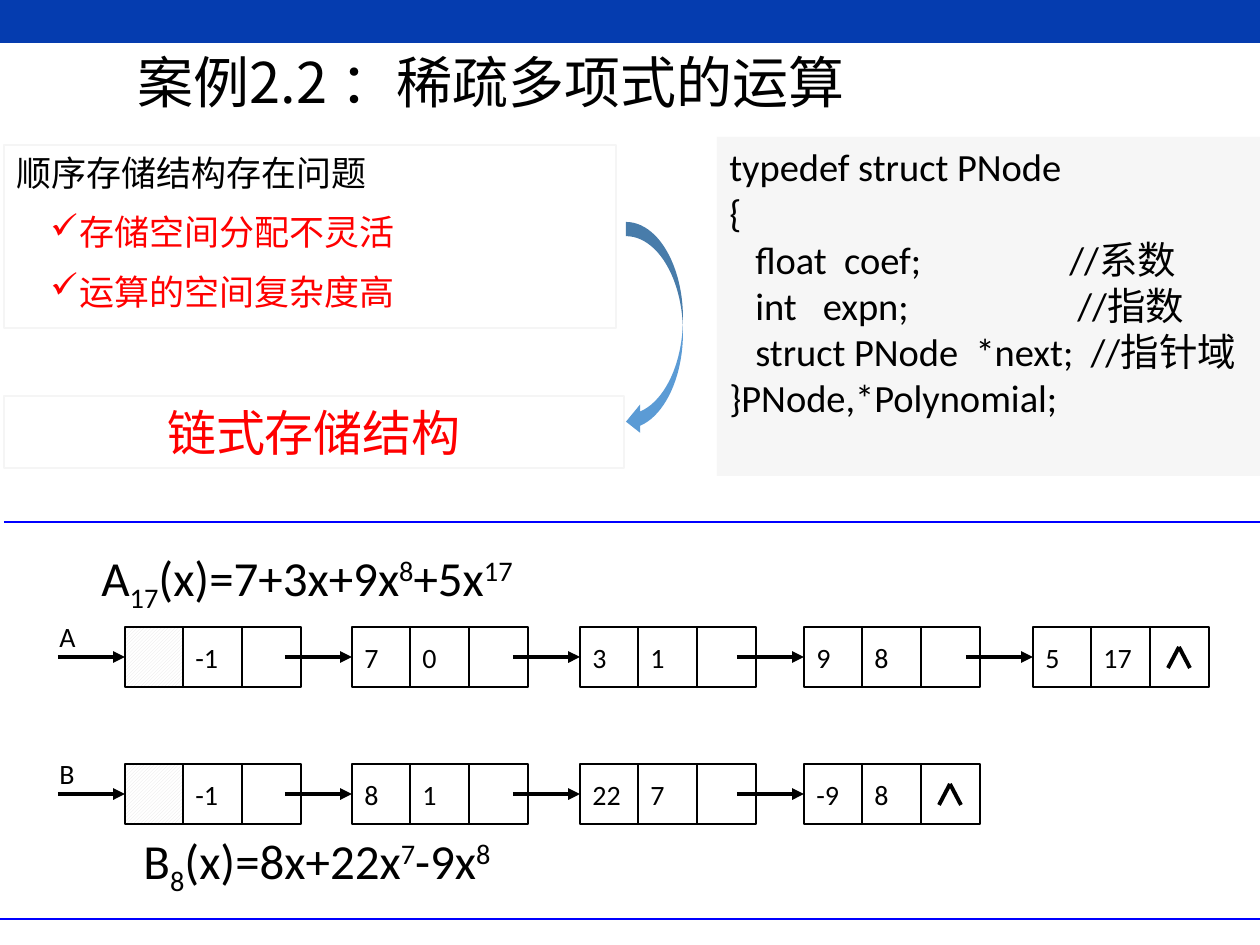
import lxml.etree
import pptx
import pptx.dml.color
import pptx.enum.dml
import pptx.enum.shapes
import pptx.enum.text
import pptx.oxml.ns
import pptx.util

RGBColor = pptx.dml.color.RGBColor
SHAPE = pptx.enum.shapes.MSO_SHAPE
ALIGN = pptx.enum.text.PP_ALIGN
ANCHOR = pptx.enum.text.MSO_ANCHOR

BLACK = RGBColor(0x00, 0x00, 0x00)
WHITE = RGBColor(0xFF, 0xFF, 0xFF)
RED = RGBColor(0xFF, 0x00, 0x00)
RULE_BLUE = RGBColor(0x00, 0x00, 0xFF)
BAND_BLUE = RGBColor(0x05, 0x3C, 0xAF)
ARROW_BLUE = RGBColor(0x5B, 0x9B, 0xD5)
PALE_GRAY = RGBColor(0xF5, 0xF5, 0xF5)
CODE_GRAY = RGBColor(0xF6, 0xF6, 0xF6)
HATCH_GRAY = RGBColor(0xE7, 0xE6, 0xE6)

BODY_FONT = "Calibri"
TITLE_FONT = "Noto Sans CJK SC"
PX_PER_INCH = 126
CELL_WIDTHS = (58, 59, 59)
CELL_HEIGHT = 60
NODE_LEFTS = (125, 352, 580, 804, 1033)
POINTER_LENGTH = 67


def px(length):
    return round(length * 914400 / PX_PER_INCH)


def add_xml(parent, tag, **attributes):
    return lxml.etree.SubElement(parent, pptx.oxml.ns.qn(tag), attributes)


def format_runs(paragraph, size, color=BLACK, font_name=BODY_FONT):
    for run in paragraph.runs:
        run.font.size = pptx.util.Pt(size)
        run.font.color.rgb = color
        run.font.name = font_name
        add_xml(run.font._element, "a:ea", typeface=font_name)


def add_box(slide, box, preset=SHAPE.RECTANGLE, fill=None, line=None, width=0.75):
    shape = slide.shapes.add_shape(preset, *map(px, box))
    shape.shadow.inherit = False
    if fill is None:
        shape.fill.background()
    else:
        shape.fill.solid()
        shape.fill.fore_color.rgb = fill
    if line is None:
        shape.line.fill.background()
    else:
        shape.line.color.rgb = line
        shape.line.width = pptx.util.Pt(width)
    return shape


def write_lines(shape, lines, size, align=ALIGN.LEFT, anchor=ANCHOR.TOP, wrap=True):
    text_frame = shape.text_frame
    text_frame.word_wrap = wrap
    text_frame.vertical_anchor = anchor
    text_frame.text = "\n".join(lines)
    for paragraph in text_frame.paragraphs:
        paragraph.alignment = align
        format_runs(paragraph, size)
    return text_frame.paragraphs


def add_line(slide, start, end, color=BLACK, width=2.25, arrow=False):
    connector = slide.shapes.add_connector(
        pptx.enum.shapes.MSO_CONNECTOR.STRAIGHT, *map(px, start + end))
    connector.line.color.rgb = color
    connector.line.width = pptx.util.Pt(width)
    if arrow:
        add_xml(connector.line._get_or_add_ln(), "a:tailEnd", type="triangle")
    add_xml(connector._element.spPr, "a:effectLst")


def place_title(slide, box, text):
    title = slide.shapes.title
    title.left, title.top, title.width, title.height = map(px, box)
    paragraphs = write_lines(title, [text], 32, anchor=ANCHOR.MIDDLE)
    title.text_frame.auto_size = pptx.enum.text.MSO_AUTO_SIZE.NONE
    format_runs(paragraphs[0], 32, font_name=TITLE_FONT)


def add_problems(slide, box, heading, problems):
    shape = add_box(slide, box, line=PALE_GRAY)
    paragraphs = write_lines(shape, [heading] + problems, 20)
    for paragraph in paragraphs[1:]:
        paragraph.level = 1
        paragraph.space_before = pptx.util.Pt(10)
        properties = paragraph._p.get_or_add_pPr()
        properties.set("marL", str(px(63)))
        properties.set("indent", str(px(-29)))
        add_xml(properties, "a:buChar", char="✓")
        format_runs(paragraph, 20, RED)


def add_solution(slide, box, text):
    shape = add_box(slide, box, fill=WHITE, line=PALE_GRAY)
    paragraphs = write_lines(shape, [text], 28, ALIGN.CENTER)
    format_runs(paragraphs[0], 28, RED)


def add_code(slide, box, lines, comment_stops):
    shape = add_box(slide, box, fill=CODE_GRAY)
    shape.text_frame.margin_right = 0
    paragraphs = write_lines(shape, lines, 22)
    for index, position in comment_stops.items():
        tabs = add_xml(paragraphs[index]._p.get_or_add_pPr(), "a:tabLst")
        add_xml(tabs, "a:tab", pos=str(px(position)), algn="l")


def add_formula(slide, box, parts):
    shape = slide.shapes.add_textbox(*map(px, box))
    shape.text_frame.word_wrap = True
    paragraph = shape.text_frame.paragraphs[0]
    for text, baseline in parts:
        run = paragraph.add_run()
        run.text = text
        if baseline:
            run.font._element.set("baseline", str(baseline * 1000))
    format_runs(paragraph, 28)


def add_node(slide, left, top, values, is_head, is_last):
    for index, (value, width) in enumerate(zip(values + ("",), CELL_WIDTHS)):
        cell_left = left + sum(CELL_WIDTHS[:index])
        cell = add_box(slide, (cell_left, top, width, CELL_HEIGHT), line=BLACK, width=1.5)
        if value:
            write_lines(cell, [value], 16, anchor=ANCHOR.MIDDLE, wrap=False)
        elif is_head and index == 0:
            cell.fill.patterned()
            cell.fill.pattern = pptx.enum.dml.MSO_PATTERN.DARK_UPWARD_DIAGONAL
            cell.fill.fore_color.rgb = HATCH_GRAY
            cell.fill.back_color.rgb = WHITE
    if is_last:
        apex = (left + sum(CELL_WIDTHS[:2]) + 29, top + 20)
        for offset in (-11, 11):
            add_line(slide, apex, (apex[0] + offset, apex[1] + 21))


def add_linked_list(slide, top, name, nodes):
    label = slide.shapes.add_textbox(px(47), px(top - 14), px(45), px(47))
    write_lines(label, [name], 16, wrap=False)
    for index, (left, values) in enumerate(zip(NODE_LEFTS, nodes)):
        add_node(slide, left, top, values, index == 0, index == len(nodes) - 1)
    middle = top + CELL_HEIGHT // 2
    for left in NODE_LEFTS[:len(nodes)]:
        add_line(slide, (left - POINTER_LENGTH, middle), (left, middle), arrow=True)


def main():
    presentation = pptx.Presentation()
    presentation.slide_width = px(1260)
    presentation.slide_height = px(945)
    slide = presentation.slides.add_slide(presentation.slide_layouts[5])

    add_box(slide, (0, 0, 1260, 43), fill=BAND_BLUE)
    place_title(slide, (125, 39, 882, 84), "案例2.2 ：稀疏多项式的运算")
    add_problems(slide, (4, 145, 612, 183), "顺序存储结构存在问题",
                 ["存储空间分配不灵活", "运算的空间复杂度高"])
    add_solution(slide, (4, 396, 620, 72), "链式存储结构")
    add_box(slide, (626, 222, 57, 214), SHAPE.CURVED_LEFT_ARROW, ARROW_BLUE)
    add_code(slide, (717, 137, 543, 339), [
        "typedef struct PNode",
        "{",
        "   float  coef;\t//系数",
        "   int   expn;\t//指数",
        "   struct PNode  *next;  //指针域",
        "}PNode,*Polynomial;",
    ], {2: 340, 3: 348})
    add_line(slide, (4, 522), (1260, 522), RULE_BLUE, 0.75)
    add_formula(slide, (89, 541, 558, 72), [
        ("A", 0), ("17", -25), ("(x)=7+3x+9x", 0), ("8", 30), ("+5x", 0), ("17", 30)])
    add_linked_list(slide, 627, "A", [
        ("", "-1"), ("7", "0"), ("3", "1"), ("9", "8"), ("5", "17")])
    add_linked_list(slide, 764, "B", [
        ("", "-1"), ("8", "1"), ("22", "7"), ("-9", "8")])
    add_formula(slide, (131, 824, 558, 72), [
        ("B", 0), ("8", -25), ("(x)=8x+22x", 0), ("7", 30), ("-9x", 0), ("8", 30)])
    add_line(slide, (0, 919), (1260, 919), RULE_BLUE, 0.75)
    presentation.save("out.pptx")


if __name__ == "__main__":
    main()
